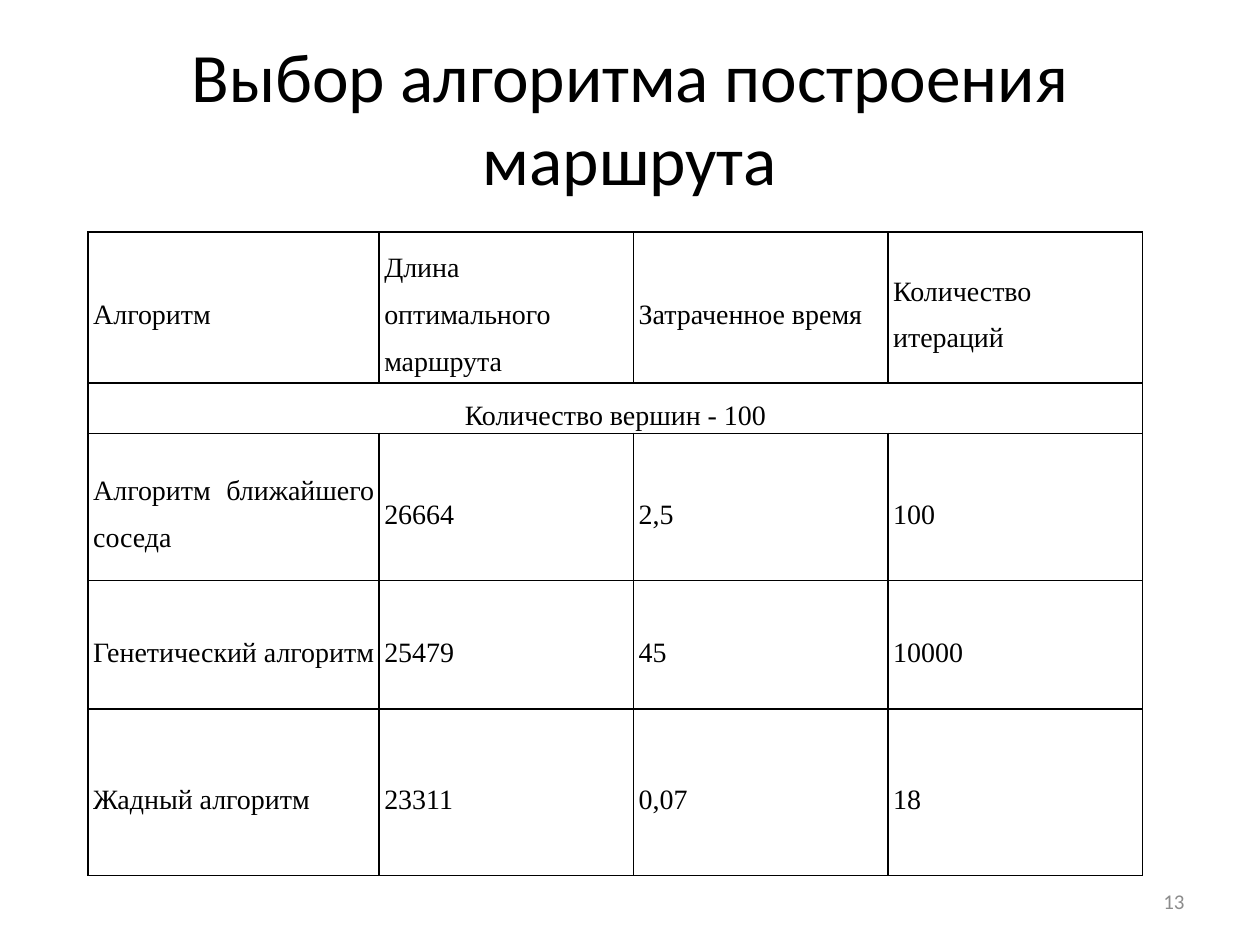
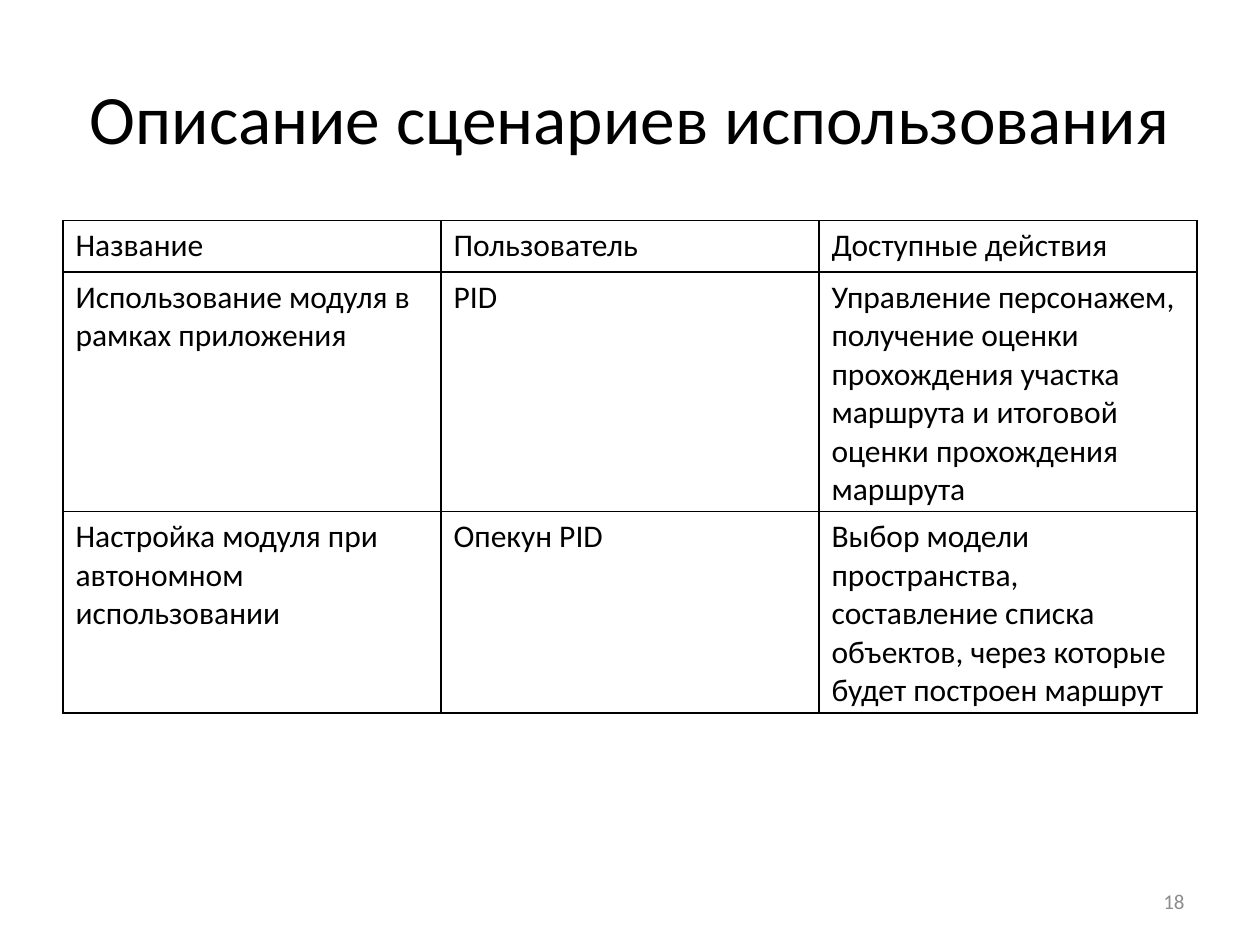
import pptx
import pptx.util
import pptx.dml.color
import pptx.enum.text
import pptx.oxml

Inches, Pt = pptx.util.Inches, pptx.util.Pt
ALIGN = pptx.enum.text.PP_ALIGN
MIDDLE = pptx.enum.text.MSO_ANCHOR.MIDDLE
TOP = pptx.enum.text.MSO_ANCHOR.TOP

COLORS = {"text": "000000", "border": "000000", "number": "8C8C8C", "back": "FFFFFF"}
SANS, SERIF = "Calibri", "Times New Roman"
NS = 'xmlns:a="http://schemas.openxmlformats.org/drawingml/2006/main"'

ALGORITHMS = [
    ["Алгоритм", "Длина оптимального маршрута", "Затраченное время", "Количество итераций"],
    ["Количество вершин - 100"],
    ["Алгоритм ближайшего соседа", "26664", "2,5", "100"],
    ["Генетический алгоритм", "25479", "45", "10000"],
    ["Жадный алгоритм", "23311", "0,07", "18"],
]
SCENARIOS = [
    ["Название", "Пользователь", "Доступные действия"],
    ["Использование модуля в рамках приложения", "PID",
     "Управление персонажем, получение оценки прохождения участка маршрута "
     "и итоговой оценки прохождения маршрута"],
    ["Настройка модуля при автономном использовании", "Опекун PID",
     "Выбор модели пространства, составление списка объектов, "
     "через которые будет построен маршрут"],
]


def rgb(name):
    return pptx.dml.color.RGBColor.from_string(COLORS[name])


def write(tf, text, size, align, font=SANS, color="text", spacing=None):
    p = tf.paragraphs[0]
    p.alignment = align
    p.line_spacing = spacing
    r = p.add_run()
    r.text = text
    r.font.size = Pt(size)
    r.font.name = font
    r.font.color.rgb = rgb(color)


def add_slide(prs, title, number):
    """Add a slide with its title and its page number."""
    s = prs.slides.add_slide(prs.slide_layouts[5])
    s.background.fill.solid()
    s.background.fill.fore_color.rgb = rgb("back")

    sp = s.shapes.title
    sp.left, sp.top, sp.width, sp.height = map(Inches, (0.5, 0.3, 9, 1.25))
    sp.text_frame.vertical_anchor = MIDDLE
    write(sp.text_frame, title, 39.6, ALIGN.CENTER)

    tf = s.shapes.add_textbox(*map(Inches, (7.17, 6.95, 2.33, 0.4))).text_frame
    tf.word_wrap = True
    tf.vertical_anchor = MIDDLE
    write(tf, number, 12, ALIGN.RIGHT, color="number")
    return s


def add_borders(cell):
    tc_pr = cell._tc.get_or_add_tcPr()
    for side in "LRTB":
        tc_pr.append(pptx.oxml.parse_xml(
            f'<a:ln{side} {NS} w="{Pt(1)}"><a:solidFill>'
            f'<a:srgbClr val="{COLORS["border"]}"/></a:solidFill></a:ln{side}>'))


def add_table(s, left, top, widths, heights, rows, size, font=SANS,
              align=ALIGN.LEFT, anchor=TOP, spacing=None, insets=(0.1, 0.05)):
    """Add a ruled table; a row with a single text spans all columns."""
    table = s.shapes.add_table(len(heights), len(widths), Inches(left), Inches(top),
                               Inches(sum(widths)), Inches(sum(heights))).table
    table.first_row = table.horz_banding = False
    for column, width in zip(table.columns, widths):
        column.width = Inches(width)
    for row, height in zip(table.rows, heights):
        row.height = Inches(height)
    for cell in table.iter_cells():
        add_borders(cell)
        cell.fill.background()
        cell.vertical_anchor = anchor
        cell.margin_left = cell.margin_right = Inches(insets[0])
        cell.margin_top = cell.margin_bottom = Inches(insets[1])
    for i, texts in enumerate(rows):
        spans = len(texts) == 1
        if spans:
            table.cell(i, 0).merge(table.cell(i, len(widths) - 1))
        for j, text in enumerate(texts):
            write(table.cell(i, j).text_frame, text, size,
                  ALIGN.CENTER if spans else align, font, spacing=spacing)


def main():
    prs = pptx.Presentation()
    prs.slide_width, prs.slide_height = Inches(10), Inches(7.5)

    s = add_slide(prs, "Выбор алгоритма построения маршрута", "13")
    add_table(s, 0.7, 1.84, [2.31] + [2.02] * 3, [1.07, 0.33, 1.17, 1.02, 1.32],
              ALGORITHMS, 16, SERIF, ALIGN.JUSTIFY, MIDDLE, 1.5, (0.04, 0))

    s = add_slide(prs, "Описание сценариев использования", "18")
    add_table(s, 0.5, 1.75, [3] * 3, [0.41] * 3, SCENARIOS, 18)

    prs.save("out.pptx")


if __name__ == "__main__":
    main()
